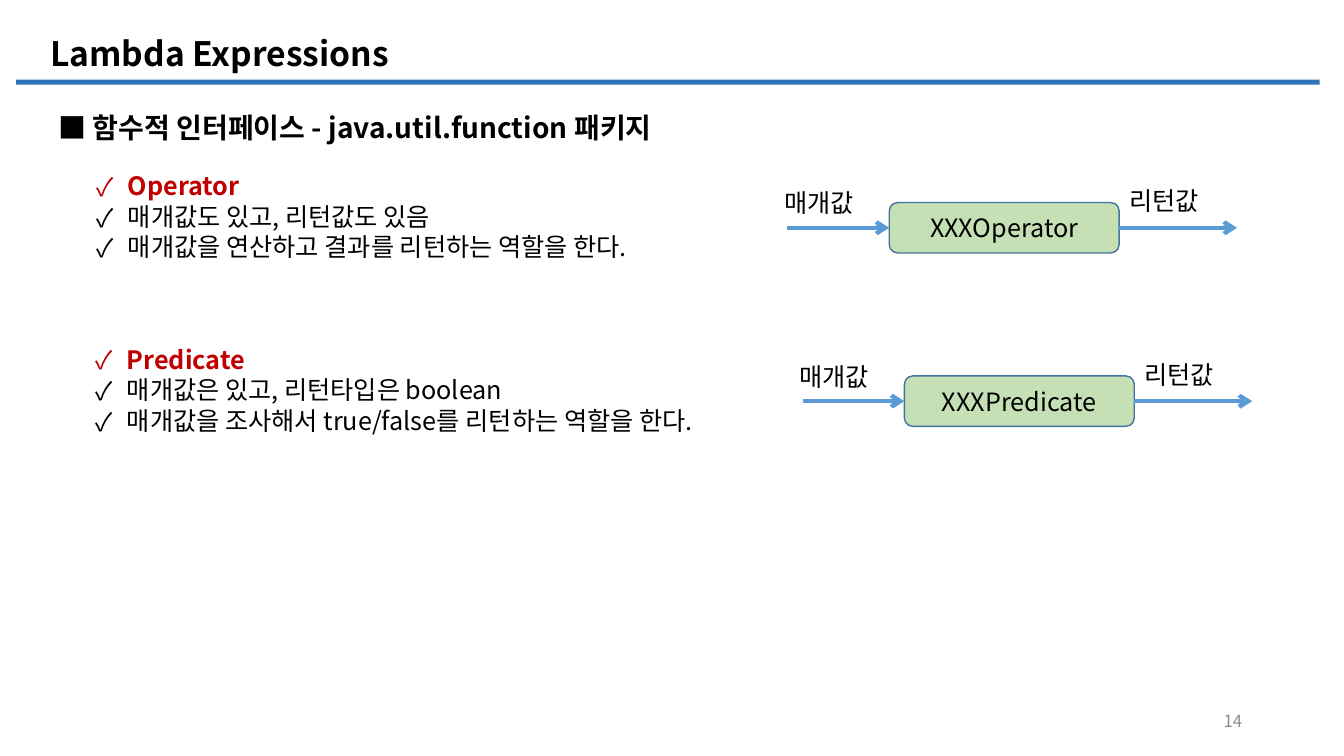
from lxml.etree import SubElement
from pptx import Presentation
from pptx.dml.color import RGBColor
from pptx.enum.shapes import MSO_CONNECTOR, MSO_SHAPE
from pptx.enum.text import MSO_ANCHOR, PP_ALIGN
from pptx.oxml.ns import qn
from pptx.util import Inches, Pt

FONT = "Noto Sans CJK KR"
BLACK = RGBColor(0x00, 0x00, 0x00)
GRAY = RGBColor(0x8C, 0x8C, 0x8C)
RED = RGBColor(0xC0, 0x00, 0x00)
RULE_BLUE = RGBColor(0x2E, 0x75, 0xB6)
ARROW_BLUE = RGBColor(0x5B, 0x9B, 0xD5)
BOX_GREEN = RGBColor(0xC5, 0xE0, 0xB4)
BOX_EDGE = RGBColor(0x43, 0x73, 0x9E)

# Grid of square cells, ten to the inch
CELL = Inches(0.1)
COLUMNS, ROWS = 133.3, 75
LINE_HEIGHT = 1.21
BULLET_INDENT = 3.1

# Each section: text column, text row, flow column, flow axis row, box name, bullet lines
SECTIONS = [
    (8.6, 16.4, 78.1, 22.6, "XXXOperator",
     ["Operator", "매개값도 있고, 리턴값도 있음", "매개값을 연산하고 결과를 리턴하는 역할을 한다."]),
    (8.5, 33.6, 79.6, 39.8, "XXXPredicate",
     ["Predicate", "매개값은 있고, 리턴타입은 boolean", "매개값을 조사해서 true/false를 리턴하는 역할을 한다."]),
]


def cells(*counts):
    return [round(count * CELL) for count in counts]


def add_run(paragraph, text, size, color=BLACK, bold=False):
    paragraph.line_spacing = Pt(round(size * LINE_HEIGHT, 1))
    run = paragraph.add_run()
    run.text = text
    run.font.size = Pt(size)
    run.font.name = FONT
    run.font.bold = bold
    run.font.color.rgb = color
    SubElement(run.font._element, qn("a:ea"), typeface=FONT)


def add_text_box(shapes, area, anchor=MSO_ANCHOR.TOP):
    frame = shapes.add_textbox(*cells(*area)).text_frame
    frame.word_wrap = True
    frame.vertical_anchor = anchor
    return frame


def add_block(shapes, kind, area, fill):
    shape = shapes.add_shape(kind, *cells(*area))
    shape.shadow.inherit = False
    shape.fill.solid()
    shape.fill.fore_color.rgb = fill
    shape.line.fill.background()
    return shape


def add_arrow(shapes, start, end):
    arrow = shapes.add_connector(MSO_CONNECTOR.STRAIGHT, *cells(*start, *end))
    arrow.line.color.rgb = ARROW_BLUE
    arrow.line.width = Pt(3)
    SubElement(arrow.line._get_or_add_ln(), qn("a:tailEnd"), type="arrow")
    SubElement(arrow._element.spPr, qn("a:effectLst"))
    return arrow


def add_bullet(paragraph):
    indent = cells(BULLET_INDENT)[0]
    properties = paragraph._p.get_or_add_pPr()
    properties.set("marL", str(indent))
    properties.set("indent", str(-indent))
    SubElement(properties, qn("a:buFont"), typeface=FONT)
    SubElement(properties, qn("a:buChar"), char="✓")


def add_bullet_list(shapes, column, row, lines):
    frame = add_text_box(shapes, (column, row, 115.4, 10.1))
    for index, line in enumerate(lines):
        paragraph = frame.add_paragraph() if index else frame.paragraphs[0]
        add_bullet(paragraph)
        heading = index == 0
        add_run(paragraph, line, 18, RED if heading else BLACK, heading)


def add_flow(shapes, column, axis, name):
    group = shapes.add_group_shape().shapes
    box_left, box_width, box_height = column + 10.1, 22.8, 5
    box_right = box_left + box_width

    # Named box
    box = add_block(group, MSO_SHAPE.ROUNDED_RECTANGLE,
                    (box_left, axis - box_height / 2, box_width, box_height), BOX_GREEN)
    box.line.color.rgb = BOX_EDGE
    box.line.width = Pt(1)
    box.text_frame.vertical_anchor = MSO_ANCHOR.MIDDLE
    paragraph = box.text_frame.paragraphs[0]
    paragraph.alignment = PP_ALIGN.CENTER
    add_run(paragraph, name, 18)

    # Arrows into and out of the box
    add_arrow(group, (column, axis), (box_left, axis)).end_connect(box, 1)
    add_arrow(group, (box_right, axis), (box_right + 11.7, axis)).begin_connect(box, 3)

    # Arrow labels
    for text, left, rise, width in (("매개값", column - 1.3, 4.5, 11.4),
                                    ("리턴값", box_right, 4.7, 10.5)):
        frame = add_text_box(group, (left, axis - rise, width, 4))
        add_run(frame.paragraphs[0], text, 18)


def add_header(shapes):
    group = shapes.add_group_shape().shapes
    add_block(group, MSO_SHAPE.RECTANGLE, (1.6, 7.9, 129.3, 0.5), RULE_BLUE)
    title = add_text_box(group, (4, 2.6, 95.2, 5.3), MSO_ANCHOR.MIDDLE)
    add_run(title.paragraphs[0], "Lambda Expressions", 24, bold=True)


def main():
    presentation = Presentation()
    presentation.slide_width, presentation.slide_height = cells(COLUMNS, ROWS)
    slide = presentation.slides.add_slide(presentation.slide_layouts[6])
    shapes = slide.shapes

    # Page number
    number = add_text_box(shapes, (94.2, 69.5, 30, 4), MSO_ANCHOR.MIDDLE).paragraphs[0]
    number.alignment = PP_ALIGN.RIGHT
    add_run(number, "14", 12, GRAY)

    # Topic line and header
    topic = add_text_box(shapes, (4.8, 10.4, 85.8, 4.4)).paragraphs[0]
    add_run(topic, "■ ", 20)
    add_run(topic, "함수적 인터페이스 - java.util.function 패키지", 20, bold=True)
    add_header(shapes)

    # Interface sections
    for text_column, text_row, flow_column, axis, name, lines in SECTIONS:
        add_bullet_list(shapes, text_column, text_row, lines)
        add_flow(shapes, flow_column, axis, name)

    presentation.save("out.pptx")


if __name__ == "__main__":
    main()
